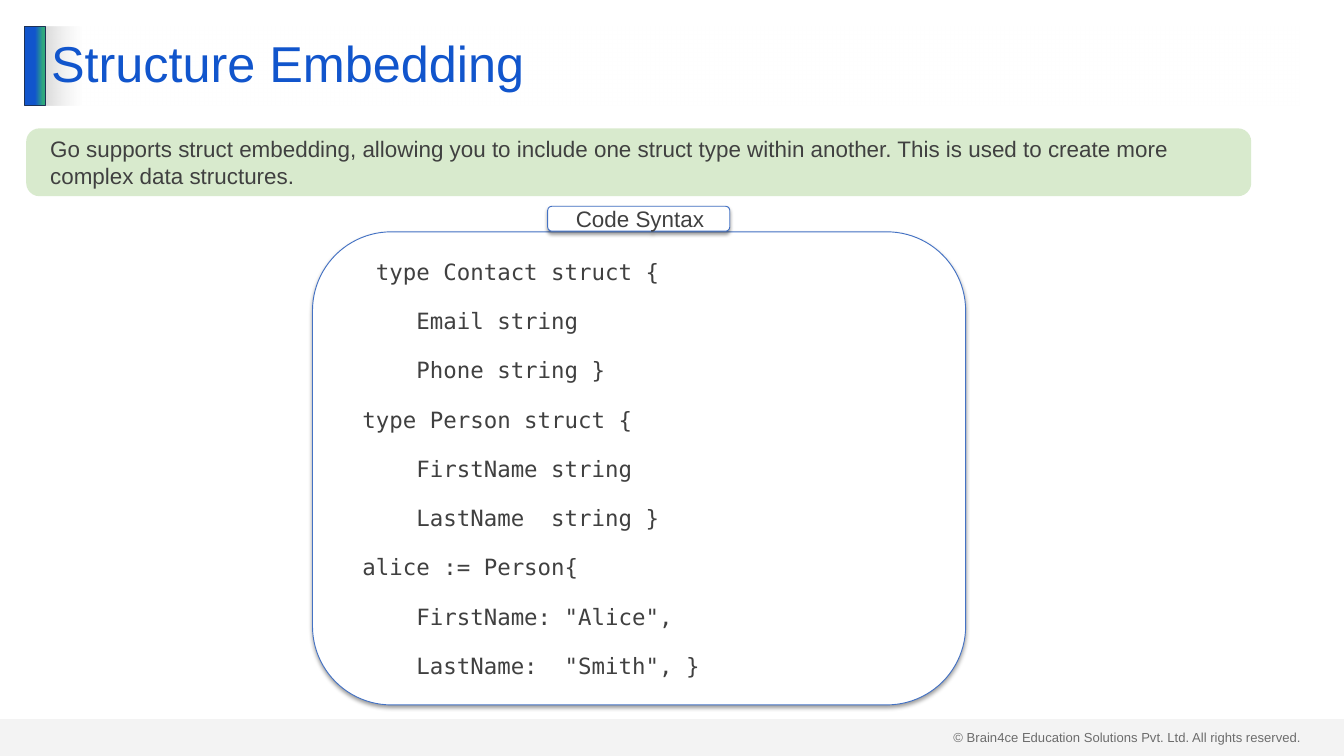
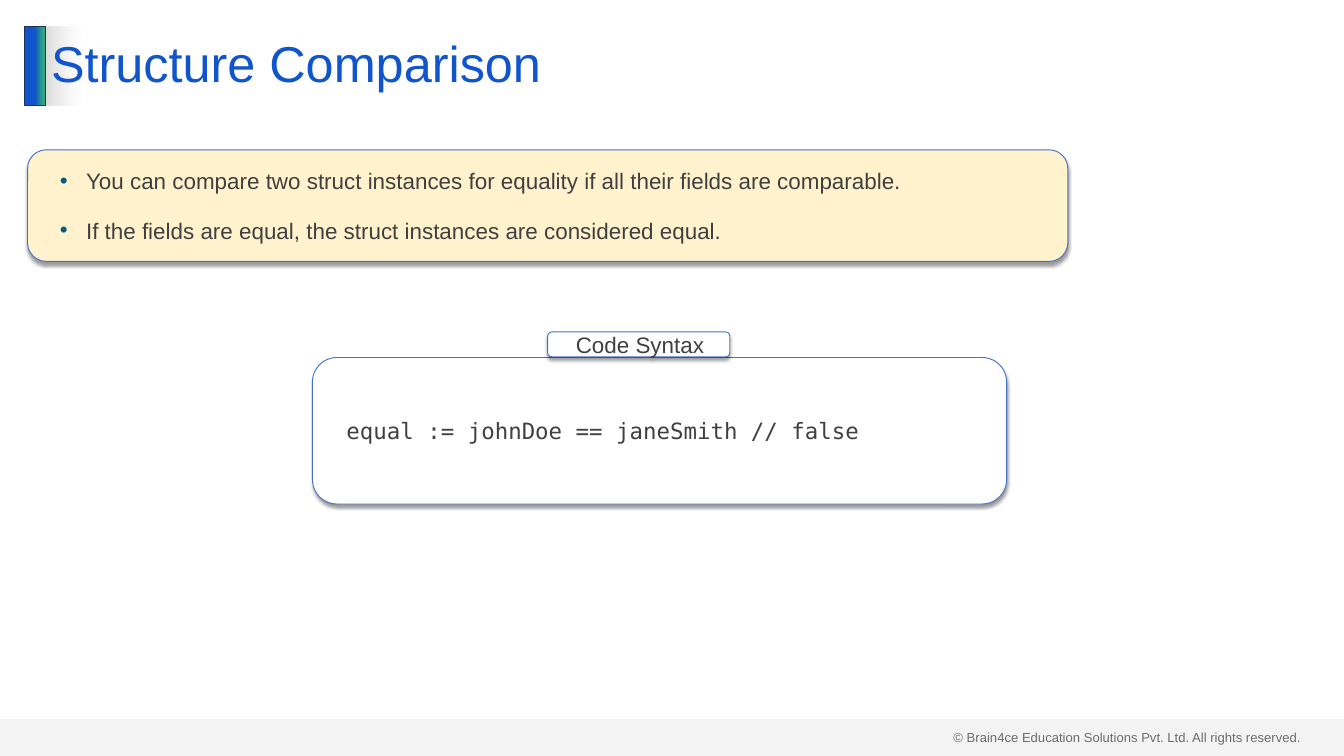
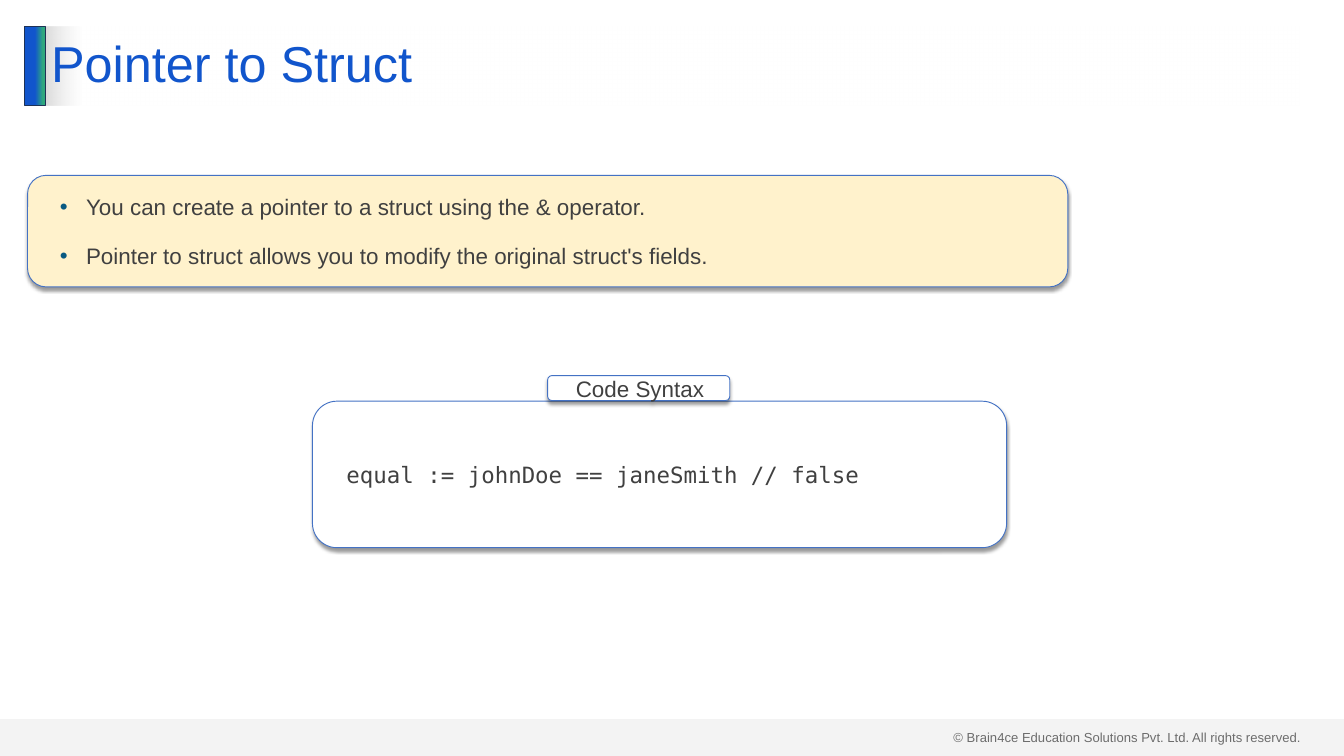
from dataclasses import dataclass

from lxml import etree
from pptx import Presentation
from pptx.dml.color import RGBColor
from pptx.enum import shapes, text
from pptx.oxml.ns import qn
from pptx.util import Inches, Pt


@dataclass(frozen=True)
class Theme:
    blue: str = "1155CC"
    green: str = "2EA87D"
    navy: str = "1E3256"
    outline: str = "4472C4"
    ink: str = "404040"
    bullet: str = "095A82"
    gray: str = "D9D9D9"
    white: str = "FFFFFF"
    mint: str = "C5E0B4"
    cream: str = "FFF2CC"
    sans: str = "Arial"
    mono: str = "DejaVu Sans Mono"
    title_size: int = 54
    body_size: int = 24
    footer_size: int = 14


THEME = Theme()
COPYRIGHT = "© Brain4ce Education Solutions Pvt. Ltd. All rights reserved."
COMPARE_CODE = ["equal := johnDoe == janeSmith // false"]
EMBED_CODE = [
    " type Contact struct {",
    "    Email string",
    "    Phone string }",
    "type Person struct {",
    "    FirstName string",
    "    LastName  string }",
    "alice := Person{",
    '    FirstName: "Alice",',
    '    LastName:  "Smith", }',
]


# Formatting helpers
def rgb(color):
    return RGBColor.from_string(color)


def add_node(parent, tag, **attributes):
    return etree.SubElement(parent, qn(tag), {k: str(v) for k, v in attributes.items()})


def add_color(parent, color, opacity=100):
    node = add_node(parent, "a:srgbClr", val=color)
    if opacity < 100:
        add_node(node, "a:alpha", val=opacity * 1000)


def fill_solid(shape, color, opacity=100):
    shape.fill.solid()
    shape.fill.fore_color.rgb = rgb(color)
    if opacity < 100:
        solid = shape._element.spPr.find(qn("a:solidFill"))
        add_node(solid[0], "a:alpha", val=opacity * 1000)


def fill_gradient(shape, stops):
    shape.fill.gradient()
    shape.fill.gradient_angle = 0
    stop_list = shape._element.spPr.find(".//" + qn("a:gsLst"))
    for stop in list(stop_list):
        stop_list.remove(stop)
    for position, color, opacity in stops:
        add_color(add_node(stop_list, "a:gs", pos=position * 1000), color, opacity)


def set_outline(shape, color=None):
    if color:
        shape.line.color.rgb = rgb(color)
        shape.line.width = Pt(1)
    else:
        shape.line.fill.background()


def drop_shadow(shape):
    effects = shape._element.spPr.find(qn("a:effectLst"))
    shadow = add_node(effects, "a:outerShdw", blurRad=Pt(4), dist=Pt(3),
                      dir=5400000, algn="t", rotWithShape=0)
    add_color(shadow, "000000", 40)


def style_runs(paragraph, size, color, font=THEME.sans):
    for run in paragraph.runs:
        run.font.size = Pt(size)
        run.font.name = font
        run.font.color.rgb = rgb(color)


def add_box(slide, kind, box):
    shape = slide.shapes.add_shape(kind, *map(Inches, box))
    shape.shadow.inherit = False
    return shape


def write_lines(shape, lines, font=THEME.sans, bulleted=False, inset=0.2):
    frame = shape.text_frame
    frame.word_wrap = True
    frame.vertical_anchor = text.MSO_ANCHOR.MIDDLE
    frame.margin_left = frame.margin_right = Inches(inset)
    frame.margin_top = frame.margin_bottom = Inches(inset / 2)
    frame.text = "\n".join(lines)
    for index, paragraph in enumerate(frame.paragraphs):
        paragraph.alignment = text.PP_ALIGN.LEFT
        paragraph.space_before = Pt(12 if index else 0)
        paragraph.space_after = Pt(12 if index < len(lines) - 1 else 0)
        properties = paragraph._p.get_or_add_pPr()
        properties.set("marL", str(Inches(0.59 if bulleted else 0.2)))
        properties.set("indent", str(Inches(-0.39 if bulleted else 0)))
        if bulleted:
            add_color(add_node(properties, "a:buClr"), THEME.bullet)
            add_node(properties, "a:buFont", typeface=THEME.sans)
            add_node(properties, "a:buChar", char="•")
        style_runs(paragraph, THEME.body_size, THEME.ink, font)


# Regions shared by all slides
def add_footer(slide, top=10.7):
    notice = slide.shapes.add_textbox(*map(Inches, (14.09, top + 0.1, 5.41, 0.34)))
    notice.text_frame.word_wrap = True
    notice.text_frame.text = COPYRIGHT
    style_runs(notice.text_frame.paragraphs[0], THEME.footer_size, THEME.ink)

    # The translucent band lies over the notice
    band = add_box(slide, shapes.MSO_SHAPE.RECTANGLE, (0, top, 20, 0.55))
    fill_solid(band, THEME.gray, 29)
    set_outline(band)


def add_title(slide, heading, left=0.37, top=0.39, height=1.18):
    accent = add_box(slide, shapes.MSO_SHAPE.RECTANGLE, (left, top, 0.3, height))
    fill_gradient(accent, [(51, THEME.blue, 100), (90, THEME.green, 100),
                           (100, THEME.green, 100)])
    set_outline(accent, THEME.navy)

    title = slide.shapes.title
    title.left, title.top = Inches(left + 0.29), Inches(top)
    title.width, title.height = Inches(18.67), Inches(height)
    fill_gradient(title, [(0, THEME.gray, 100), (0, THEME.gray, 100),
                          (3, THEME.white, 50)])
    frame = title.text_frame
    frame.text = heading
    frame.auto_size = text.MSO_AUTO_SIZE.NONE
    frame.vertical_anchor = text.MSO_ANCHOR.MIDDLE
    paragraph = frame.paragraphs[0]
    paragraph.alignment = text.PP_ALIGN.LEFT
    paragraph.line_spacing = 0.9
    style_runs(paragraph, THEME.title_size, THEME.blue)


def add_card(slide, box, lines, color=THEME.white, **text_style):
    card = add_box(slide, shapes.MSO_SHAPE.ROUNDED_RECTANGLE, box)
    fill_solid(card, color)
    set_outline(card, THEME.outline)
    drop_shadow(card)
    write_lines(card, lines, **text_style)


def add_code_panel(slide, box, code):
    left, top = box[:2]
    add_card(slide, box, code, font=THEME.mono)
    add_card(slide, (left + 3.5, top - 0.38, 2.71, 0.37), ["Code Syntax"])


def add_summary(slide, box, summary):
    banner = add_box(slide, shapes.MSO_SHAPE.ROUNDED_RECTANGLE, box)
    banner.adjustments[0] = 0.195
    fill_solid(banner, THEME.mint, 66)
    set_outline(banner)
    write_lines(banner, [summary], inset=0.1)


# Slide types
def start_slide(deck, heading):
    slide = deck.slides.add_slide(deck.slide_layouts[5])
    add_footer(slide)
    add_title(slide, heading)
    return slide


def add_embedding_slide(deck):
    slide = start_slide(deck, "Structure Embedding")
    add_summary(slide, (0.39, 1.91, 18.23, 1.01),
                "Go supports struct embedding, allowing you to include one struct type "
                "within another. This is used to create more complex data structures.")
    add_code_panel(slide, (4.65, 3.45, 9.72, 7.04), EMBED_CODE)


def add_points_slide(deck, heading, points, points_top, code_top):
    slide = start_slide(deck, heading)
    add_code_panel(slide, (4.65, code_top, 10.33, 2.18), COMPARE_CODE)
    add_card(slide, (0.41, points_top, 15.48, 1.66), points, THEME.cream, bulleted=True)


def main():
    deck = Presentation()
    deck.slide_width, deck.slide_height = Inches(20), Inches(11.25)
    add_embedding_slide(deck)
    add_points_slide(deck, "Structure Comparison", [
        "You can compare two struct instances for equality if all their fields are comparable.",
        "If the fields are equal, the struct instances are considered equal.",
    ], points_top=2.23, code_top=5.32)
    add_points_slide(deck, "Pointer to Struct", [
        "You can create a pointer to a struct using the & operator.",
        "Pointer to struct allows you to modify the original struct's fields.",
    ], points_top=2.61, code_top=5.97)
    deck.save("out.pptx")


if __name__ == "__main__":
    main()
